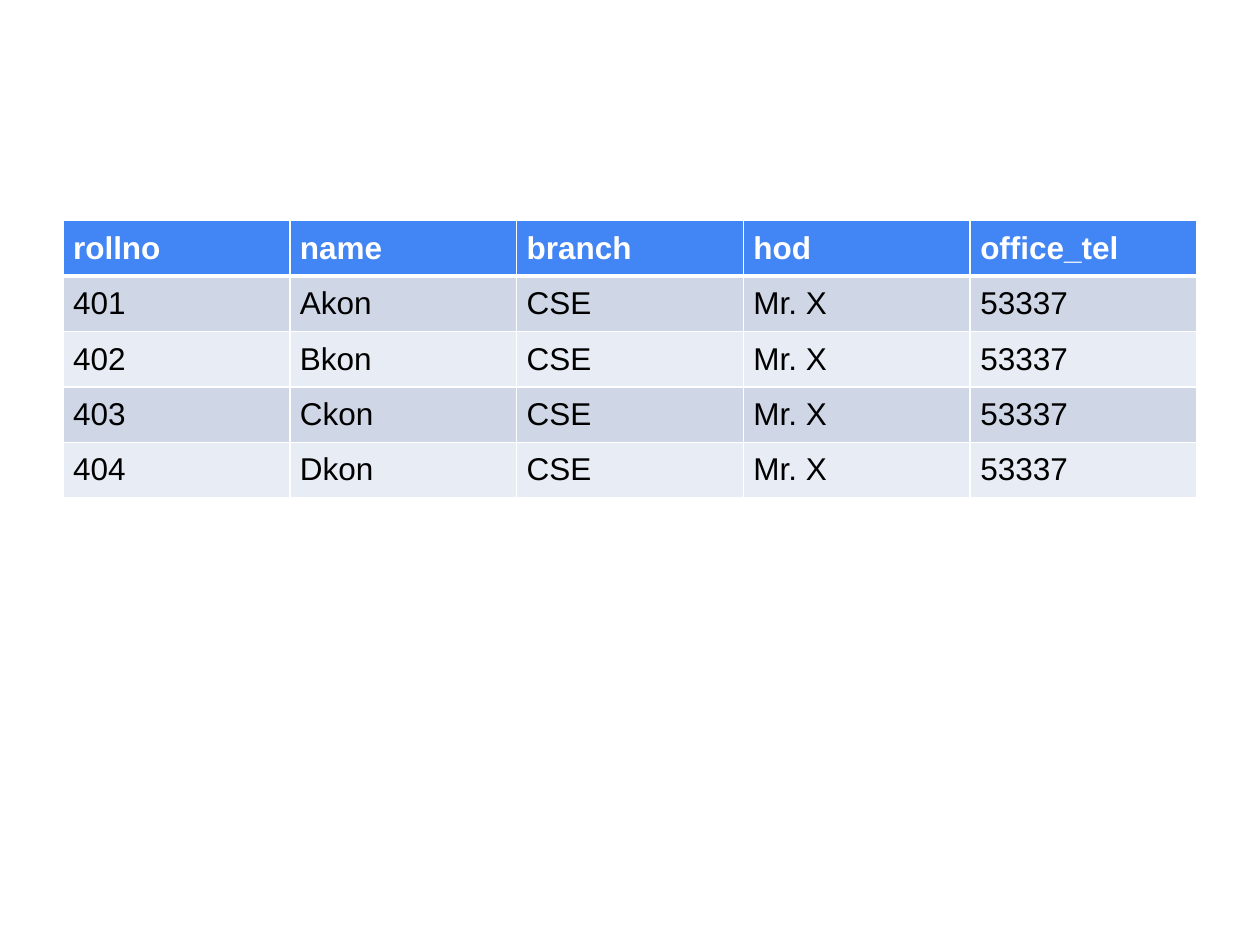
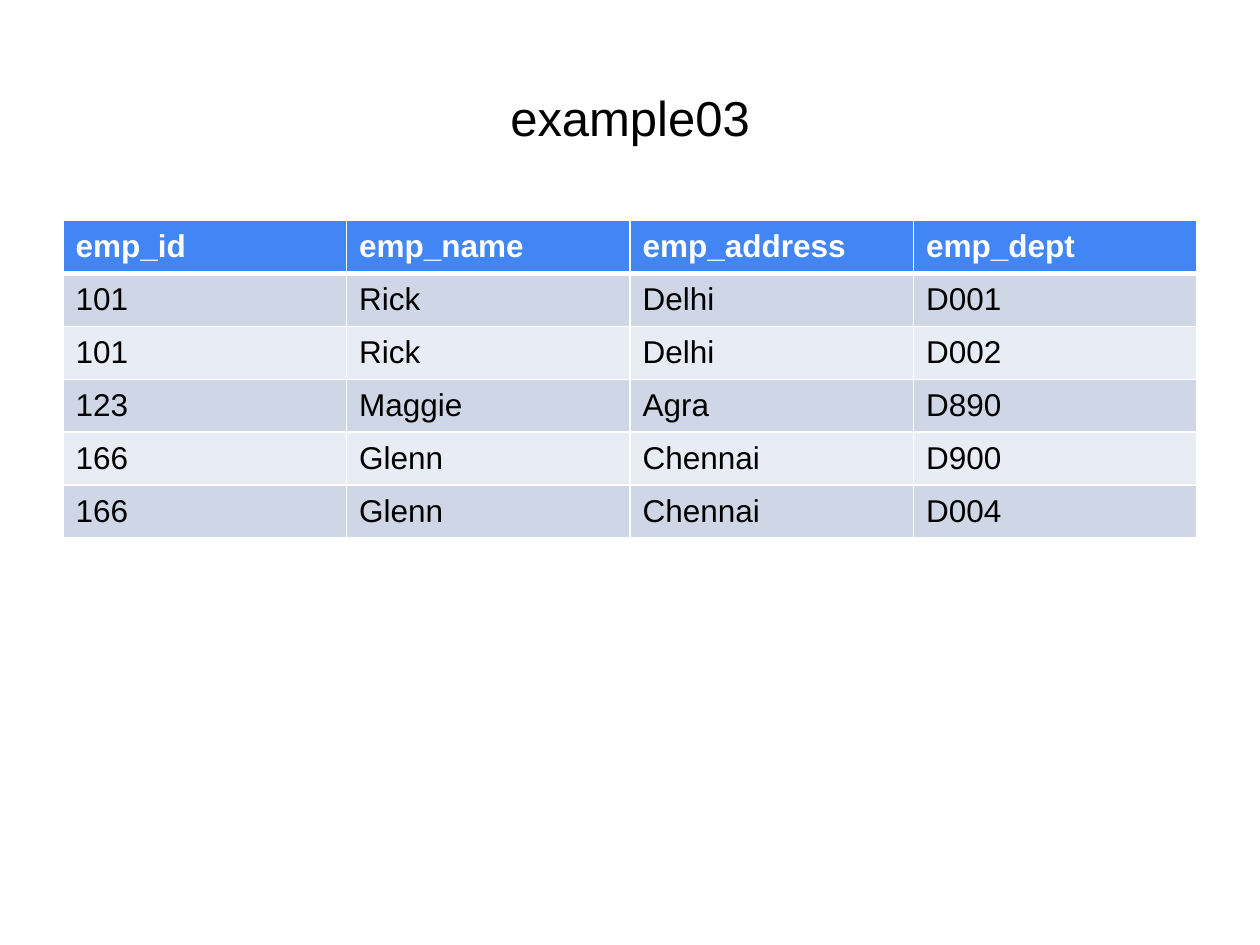
from lxml import etree
from pptx import Presentation
from pptx.dml.color import RGBColor
from pptx.enum.text import MSO_ANCHOR, PP_ALIGN
from pptx.oxml.ns import qn
from pptx.util import Inches, Pt

MIDDLE = MSO_ANCHOR.MIDDLE
TOP = MSO_ANCHOR.TOP
CENTER = PP_ALIGN.CENTER

FONT = "Arial"
WHITE = "FFFFFF"
BLACK = "000000"
BLUE = "4285F4"
BANDS = ["E8ECF4", "CFD7E7"]
LEFT, WIDTH = 0.5, 9
ROW = 0.4


def style(para, size, color, bold=False):
    font = para.runs[0].font
    font.name = FONT
    font.size = Pt(size)
    font.bold = bold
    font.color.rgb = RGBColor.from_string(color)


def border(cell, side, width):
    line = etree.SubElement(cell._tc.get_or_add_tcPr(), qn("a:ln" + side), w=str(Pt(width)))
    fill = etree.SubElement(line, qn("a:solidFill"))
    etree.SubElement(fill, qn("a:srgbClr"), val=WHITE)


staff = [
    ["rollno", "name", "branch", "hod", "office_tel"],
    ["401", "Akon", "CSE", "Mr. X", "53337"],
    ["402", "Bkon", "CSE", "Mr. X", "53337"],
    ["403", "Ckon", "CSE", "Mr. X", "53337"],
    ["404", "Dkon", "CSE", "Mr. X", "53337"],
]
depts = [
    ["emp_id", "emp_name", "emp_address", "emp_dept"],
    ["101", "Rick", "Delhi", "D001"],
    ["101", "Rick", "Delhi", "D002"],
    ["123", "Maggie", "Agra", "D890"],
    ["166", "Glenn", "Chennai", "D900"],
    ["166", "Glenn", "Chennai", "D004"],
]
pages = [
    ("", staff, 0.08, 0.08, TOP),
    ("example03", depts, 0.1, 0.06, MIDDLE),
]

prs = Presentation()
prs.slide_width = Inches(10)
prs.slide_height = Inches(7.5)

for title, data, padx, pady, anchor in pages:
    slide = prs.slides.add_slide(prs.slide_layouts[6])
    if title:
        box = slide.shapes.add_textbox(Inches(LEFT), Inches(0.3), Inches(WIDTH), Inches(1.25))
        frame = box.text_frame
        frame.word_wrap = True
        frame.vertical_anchor = MIDDLE
        frame.text = title
        frame.paragraphs[0].alignment = CENTER
        style(frame.paragraphs[0], 28, BLACK)

    count = len(data[0])
    grid = slide.shapes.add_table(
        len(data), count, Inches(LEFT), Inches(1.75), Inches(WIDTH), Inches(ROW * len(data))
    ).table
    for col in grid.columns:
        col.width = Inches(WIDTH / count)
    for r, row in enumerate(data):
        grid.rows[r].height = Inches(ROW)
        head = r == 0
        for c, text in enumerate(row):
            cell = grid.cell(r, c)
            cell.margin_left = cell.margin_right = Inches(padx)
            cell.margin_top = cell.margin_bottom = Inches(pady)
            cell.vertical_anchor = anchor
            border(cell, "L", 1)
            border(cell, "R", 1)
            border(cell, "T", 3 if r == 1 else 1)
            border(cell, "B", 3 if head else 1)
            cell.fill.solid()
            cell.fill.fore_color.rgb = RGBColor.from_string(BLUE if head else BANDS[r % 2])
            cell.text_frame.text = text
            style(cell.text_frame.paragraphs[0], 18, WHITE if head else BLACK, head)

prs.save("out.pptx")
